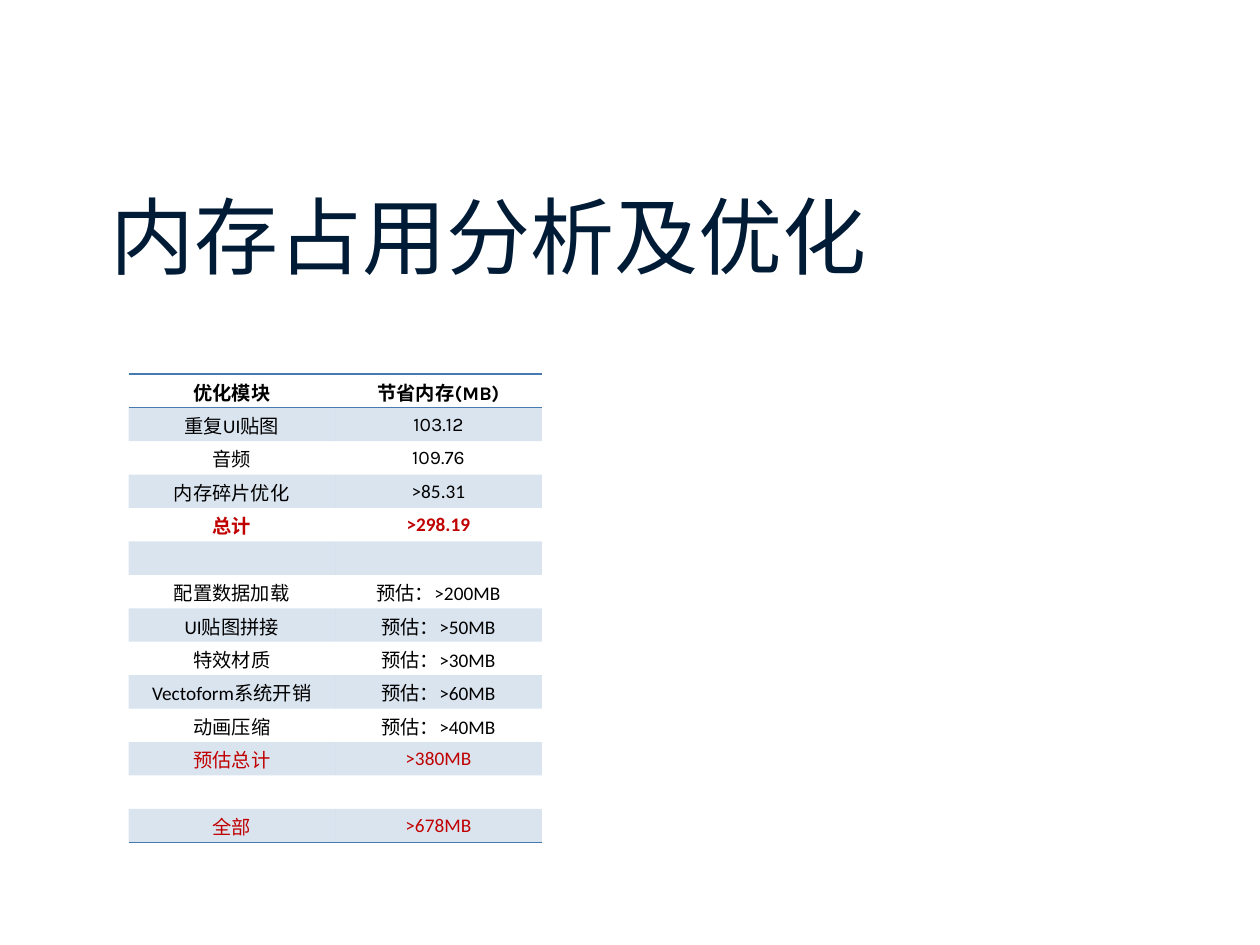
import lxml.etree
import pptx
import pptx.dml.color
import pptx.enum.text
import pptx.oxml.ns
import pptx.util

qn = pptx.oxml.ns.qn
Inches = pptx.util.Inches
ANCHOR = pptx.enum.text.MSO_ANCHOR
ALIGN = pptx.enum.text.PP_ALIGN

THEME = {
    "title": "001B36", "ink": "000000", "total": "C00000",
    "rule": "477AB1", "paper": "FFFFFF", "band_alpha": 20,
    "title_size": 48, "cell_size": 11,
    "heading_font": "Karla", "body_font": "Calibri",
}
NO_STYLE_NO_GRID = "{2D5ABB26-0587-4C30-8999-92F81FD0307C}"


def write(frame, text, size, font, color, bold=False, align=ALIGN.LEFT):
    """Fill the first paragraph; without text, only its line height is set."""
    para = frame.paragraphs[0]
    para.alignment = align
    if not text:
        end = lxml.etree.SubElement(para._p, qn("a:endParaRPr"))
        end.set("sz", str(size * 100))
        return
    span = para.add_run()
    span.text = text
    span.font.size = pptx.util.Pt(size)
    span.font.name = font
    span.font.bold = bold
    span.font.color.rgb = pptx.dml.color.RGBColor.from_string(color)


def rule_cell(cell, sides):
    """Draw a one-point rule on the named sides, given in schema order."""
    properties = cell._tc.get_or_add_tcPr()
    for position, side in enumerate(sides):
        line = lxml.etree.Element(qn(f"a:ln{side}"), w=str(pptx.util.Pt(1)))
        solid = lxml.etree.SubElement(line, qn("a:solidFill"))
        lxml.etree.SubElement(solid, qn("a:srgbClr"), val=THEME["rule"])
        properties.insert(position, line)


deck = pptx.Presentation()
deck.slide_width, deck.slide_height = Inches(10), Inches(7.5)
page = deck.slides.add_slide(deck.slide_layouts[6])
page.background.fill.solid()
page.background.fill.fore_color.rgb = pptx.dml.color.RGBColor.from_string(THEME["paper"])

# Title
box = page.shapes.add_textbox(Inches(0.78), Inches(0.7), Inches(8.5), Inches(1.61))
box.text_frame.word_wrap = True
box.text_frame.vertical_anchor = ANCHOR.BOTTOM
write(box.text_frame, "内存占用分析及优化", size=THEME["title_size"],
      font=THEME["heading_font"], color=THEME["title"])

# Table: module, memory saved
rows = [
    ("优化模块", "节省内存(MB)"),
    ("重复UI贴图", "103.12"),
    ("音频", "109.76"),
    ("内存碎片优化", ">85.31"),
    ("总计", ">298.19"),
    ("", ""),
    ("配置数据加载", "预估：>200MB"),
    ("UI贴图拼接", "预估：>50MB"),
    ("特效材质", "预估：>30MB"),
    ("Vectoform系统开销", "预估：>60MB"),
    ("动画压缩", "预估：>40MB"),
    ("预估总计", ">380MB"),
    ("", ""),
    ("全部", ">678MB"),
]
total_labels = {"总计", "预估总计", "全部"}
bold_labels = {"优化模块", "总计"}
heading_font_texts = {*rows[0], "103.12", "109.76"}
rules = {0: "TB", len(rows) - 1: "B"}

table = page.shapes.add_table(len(rows), 2, Inches(1.02), Inches(2.97),
                              Inches(3.28), Inches(3.72)).table
table.first_row = table.horz_banding = False
table._tbl.tblPr.find(qn("a:tableStyleId")).text = NO_STYLE_NO_GRID

for row_index, row in enumerate(rows):
    label = row[0]
    for column_index, text in enumerate(row):
        cell = table.cell(row_index, column_index)
        cell.vertical_anchor = ANCHOR.MIDDLE
        cell.margin_left = cell.margin_right = cell.margin_top = Inches(0.01)
        cell.margin_bottom = 0
        if row_index % 2:
            cell.fill.solid()
            cell.fill.fore_color.rgb = pptx.dml.color.RGBColor.from_string(THEME["rule"])
            tint = cell._tc.tcPr.find(f".//{qn('a:srgbClr')}")
            lxml.etree.SubElement(tint, qn("a:alpha"), val=str(THEME["band_alpha"] * 1000))
        else:
            cell.fill.background()
        rule_cell(cell, rules.get(row_index, ""))
        write(cell.text_frame, text, size=THEME["cell_size"],
              font=THEME["heading_font" if text in heading_font_texts else "body_font"],
              color=THEME["total" if label in total_labels else "ink"],
              bold=label in bold_labels, align=ALIGN.CENTER)

deck.save("out.pptx")
